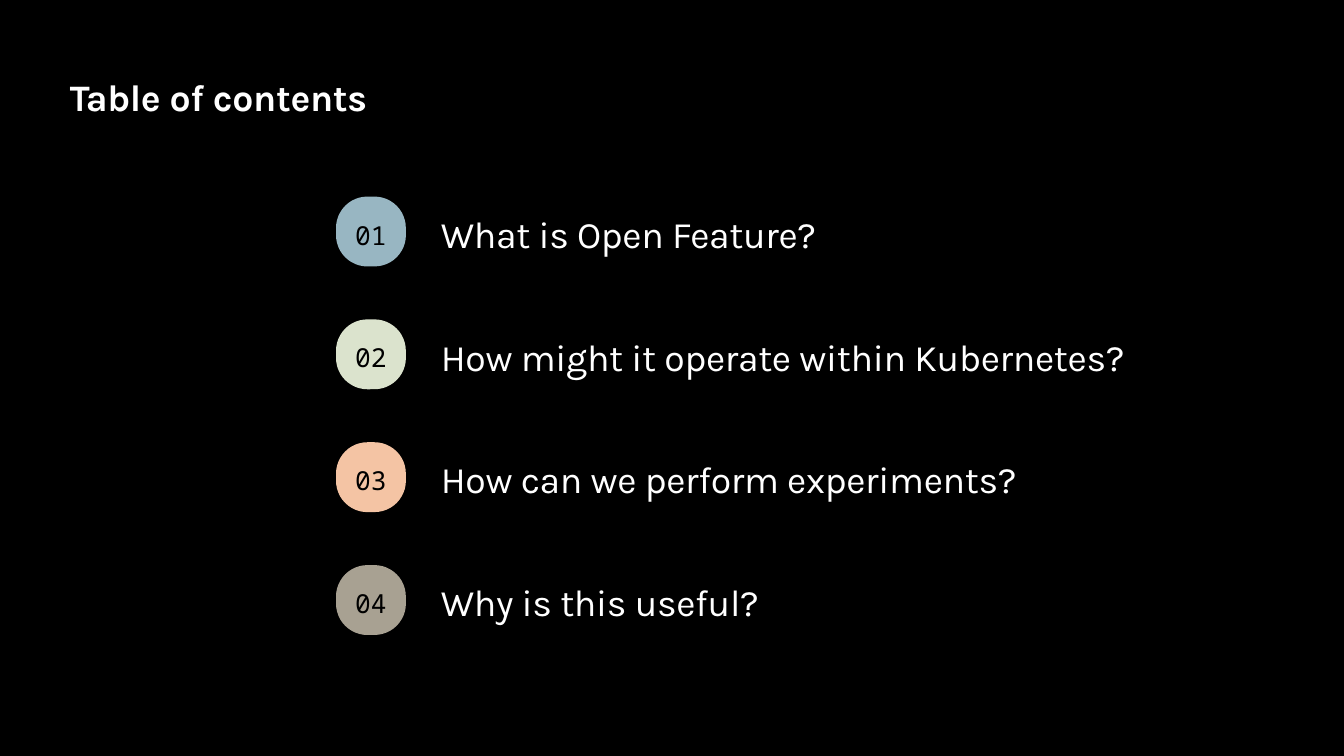
import dataclasses

import pptx
import pptx.dml.color
import pptx.enum.shapes
import pptx.enum.text
import pptx.util


@dataclasses.dataclass(frozen=True)
class Theme:
    """Colours, fonts and type sizes of the deck."""
    background: str = "000000"
    text: str = "FFFFFF"
    badge_text: str = "000000"
    badges: tuple = ("98B6C2", "DBE3CD", "F4C4A4", "A8A192")
    font: str = "Karla"
    badge_font: str = "Noto Sans Mono"
    text_size: float = 20
    text_leading: float = 26.3
    badge_size: float = 14
    badge_leading: float = 20.2
    tracking: int = -20


THEME = Theme()
WIDTH = 10
HEIGHT = WIDTH * 9 / 16
MARGIN = BADGE = 0.52
LINE = 0.37
TOPICS = (
    "What is Open Feature?",
    "How might it operate within Kubernetes?",
    "How can we perform experiments?",
    "Why is this useful?",
)


def rgb(value):
    """Return a colour object for a hex string."""
    return pptx.dml.color.RGBColor.from_string(value)


def inches(box):
    """Convert left, top, width and height to lengths."""
    return [pptx.util.Inches(length) for length in box]


def write(tf, text, font, size, leading, color, margins=(0, 0)):
    """Write one styled paragraph into a text frame and return its run."""
    tf.word_wrap = True
    tf.margin_left = tf.margin_right = pptx.util.Inches(margins[0])
    tf.margin_top = tf.margin_bottom = pptx.util.Inches(margins[1])
    p = tf.paragraphs[0]
    p.text = text
    p.line_spacing = pptx.util.Pt(leading)
    r = p.runs[0]
    r.font.name = font
    r.font.size = pptx.util.Pt(size)
    r.font.color.rgb = rgb(color)
    return r


def add_line(s, box, text, bold=False):
    """Add a line of heading or topic text in the given box."""
    tf = s.shapes.add_textbox(*inches(box)).text_frame
    r = write(tf, text, THEME.font, THEME.text_size, THEME.text_leading, THEME.text)
    r.font.bold = bold
    r.font._element.set("spc", str(THEME.tracking))


def add_badge(s, box, label, color):
    """Add a rounded number badge in the given box."""
    sp = s.shapes.add_shape(pptx.enum.shapes.MSO_SHAPE.ROUNDED_RECTANGLE, *inches(box))
    sp.adjustments[0] = 0.45
    sp.shadow.inherit = False
    sp.fill.solid()
    sp.fill.fore_color.rgb = rgb(color)
    sp.line.fill.background()
    tf = sp.text_frame
    write(tf, label, THEME.badge_font, THEME.badge_size, THEME.badge_leading,
          THEME.badge_text, margins=(0.03, 0.06))
    tf.vertical_anchor = pptx.enum.text.MSO_ANCHOR.MIDDLE
    tf.paragraphs[0].alignment = pptx.enum.text.PP_ALIGN.CENTER


def add_contents(s, box, topics):
    """Fill a box with equal rows, each a numbered badge and a topic."""
    left, top, width, height = box
    row = height / len(topics)
    indent = 1.5 * BADGE
    for i, (topic, color) in enumerate(zip(topics, THEME.badges)):
        y = top + i * row
        add_badge(s, (left, y, BADGE, BADGE), f"{i + 1:02d}", color)
        add_line(s, (left + indent, y + (BADGE - LINE) / 2, width - indent, LINE), topic)


def build_contents_slide(prs):
    """Add the table of contents slide."""
    s = prs.slides.add_slide(prs.slide_layouts[6])
    s.background.fill.solid()
    s.background.fill.fore_color.rgb = rgb(THEME.background)
    add_line(s, (MARGIN, MARGIN, 0.42 * WIDTH, LINE), "Table of contents", bold=True)
    add_contents(s, (0.25 * WIDTH, 0.26 * HEIGHT, 0.6 * WIDTH, 0.65 * HEIGHT), TOPICS)


def main():
    """Build and save the deck."""
    prs = pptx.Presentation()
    prs.slide_width = pptx.util.Inches(WIDTH)
    prs.slide_height = pptx.util.Inches(HEIGHT)
    build_contents_slide(prs)
    prs.save("out.pptx")


if __name__ == "__main__":
    main()
